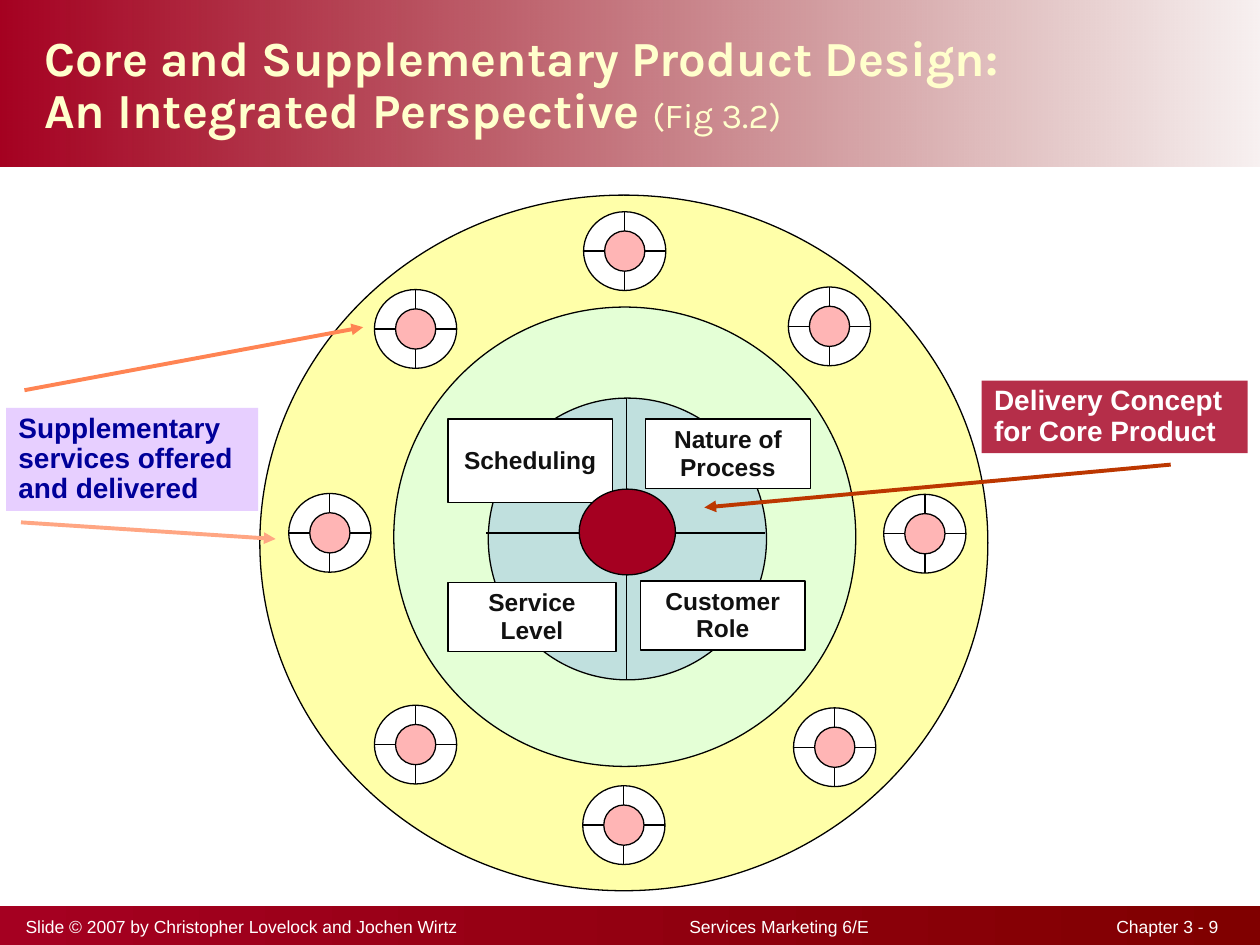
"""Build the slide on core and supplementary product design."""
from dataclasses import dataclass

import lxml.etree
import pptx
import pptx.dml.color
import pptx.enum.shapes
import pptx.enum.text
import pptx.oxml.ns
import pptx.shapes.autoshape
import pptx.shapes.connector
import pptx.util

Pt = pptx.util.Pt
qn = pptx.oxml.ns.qn
SHAPE = pptx.enum.shapes.MSO_SHAPE
ALIGN = pptx.enum.text.PP_ALIGN
ANCHOR = pptx.enum.text.MSO_ANCHOR

COLORS = {
    "crimson": "A50021", "maroon": "800000", "cream": "FFFFCC",
    "white": "FFFFFF", "black": "000000", "ink": "111111",
    "yellow": "FFFF99", "aqua": "CCFFFF", "blue": "3366FF", "red": "FF0000",
    "lilac": "E2C5FF", "navy": "000099",
    "rust": "BC3700", "orange": "FF8453", "peach": "FFA683",
}


@dataclass
class Box:
    left: float
    top: float
    width: float
    height: float

    def lengths(self) -> list:
        return [Pt(v) for v in (self.left, self.top, self.width, self.height)]


@dataclass
class Disc:
    box: Box
    color: str
    opacity: int = 100


@dataclass
class Label:
    box: Box
    lines: list
    fill: str
    color: str
    size: float
    spacing: float
    align: ALIGN
    opacity: int = 100
    outlined: bool = False


@dataclass
class Arrow:
    start: tuple
    end: tuple
    color: str


def rgb(name: str) -> pptx.dml.color.RGBColor:
    return pptx.dml.color.RGBColor.from_string(COLORS[name])


def set_opacity(clr, percent: int) -> None:
    if percent < 100:
        lxml.etree.SubElement(clr, qn("a:alpha"), val=str(percent * 1000))


def add_shape(shapes, kind: SHAPE, box: Box, fill: str, opacity: int = 100,
              outlined: bool = True) -> pptx.shapes.autoshape.Shape:
    sp = shapes.add_shape(kind, *box.lengths())
    sp.shadow.inherit = False
    sp.fill.solid()
    sp.fill.fore_color.rgb = rgb(fill)
    set_opacity(sp.element.spPr.find(".//" + qn("a:srgbClr")), opacity)
    if outlined:
        sp.line.color.rgb = rgb("black")
        sp.line.width = Pt(0.75)
    else:
        sp.line.fill.background()
    return sp


def add_bar(shapes, box: Box, end_opacity: int = 100) -> None:
    sp = add_shape(shapes, SHAPE.RECTANGLE, box, "crimson", outlined=False)
    sp.fill.gradient()
    sp.fill.gradient_angle = 0
    for stop, name in zip(sp.fill.gradient_stops, ("crimson", "maroon")):
        stop.color.rgb = rgb(name)
    set_opacity(sp.element.spPr.findall(".//" + qn("a:gs"))[-1][0], end_opacity)


def add_line(shapes, start: tuple, end: tuple, color: str = "black",
             width: float = 0.75) -> pptx.shapes.connector.Connector:
    cxn = shapes.add_connector(pptx.enum.shapes.MSO_CONNECTOR.STRAIGHT,
                               *[Pt(v) for v in start + end])
    cxn.line.color.rgb = rgb(color)
    cxn.line.width = Pt(width)
    lxml.etree.SubElement(cxn.element.spPr, qn("a:effectLst"))
    return cxn


def add_arrow(shapes, arrow: Arrow) -> None:
    cxn = add_line(shapes, arrow.start, arrow.end, arrow.color, 2.25)
    lxml.etree.SubElement(cxn.element.spPr.find(qn("a:ln")), qn("a:tailEnd"), type="triangle")


def add_run(p, text: str, size: float, color: str, bold: bool = False,
            font: str = "Arial") -> None:
    r = p.add_run()
    r.text = text
    r.font.name, r.font.size, r.font.bold = font, Pt(size), bold
    r.font.color.rgb = rgb(color)


def add_satellite(shapes, x: float, y: float) -> None:
    grp = shapes.add_group_shape().shapes
    rx, ry, core = 23.5, 22.5, 11.5
    add_shape(grp, SHAPE.OVAL, Box(x - rx, y - ry, 2 * rx, 2 * ry), "white")
    add_shape(grp, SHAPE.OVAL, Box(x - core, y - core, 2 * core, 2 * core), "red", 29)
    for dx, dy in ((0, -1), (0, 1), (1, 0), (-1, 0)):
        add_line(grp, (x + dx * rx, y + dy * ry), (x + dx * core, y + dy * core))


def add_label(shapes, label: Label) -> None:
    sp = add_shape(shapes, SHAPE.RECTANGLE, label.box, label.fill, label.opacity, label.outlined)
    tf = sp.text_frame
    tf.word_wrap = True
    tf.vertical_anchor = ANCHOR.MIDDLE
    for i, line in enumerate(label.lines):
        p = tf.add_paragraph() if i else tf.paragraphs[0]
        p.alignment, p.line_spacing = label.align, label.spacing
        add_run(p, line, label.size, label.color, True)


def core_label(box: Box, *lines: str) -> Label:
    return Label(box, list(lines), "white", "ink", 14, 0.95, ALIGN.CENTER, outlined=True)


def callout(box: Box, fill: str, color: str, *lines: str) -> Label:
    return Label(box, list(lines), fill, color, 16, 0.9, ALIGN.LEFT, 82)


def add_footer(shapes) -> None:
    tf = shapes.add_textbox(*Box(7.5, 519.5, 696, 20).lengths()).text_frame
    tf.word_wrap = True
    tf.vertical_anchor = ANCHOR.MIDDLE
    p = tf.paragraphs[0]
    tabs = lxml.etree.SubElement(p._p.get_or_add_pPr(), qn("a:tabLst"))
    for pos, algn in ((430.5, "ctr"), (681.5, "r")):
        lxml.etree.SubElement(tabs, qn("a:tab"), pos=str(Pt(pos)), algn=algn)
    add_run(p, "Slide © 2007 by Christopher Lovelock and Jochen Wirtz"
               "\tServices Marketing 6/E\tChapter 3 - 9", 10, "white")


def add_title(title) -> None:
    title.left, title.top, title.width, title.height = Box(18, 2, 594, 95).lengths()
    tf = title.text_frame
    tf.auto_size = pptx.enum.text.MSO_AUTO_SIZE.NONE
    tf.vertical_anchor = ANCHOR.MIDDLE
    p = tf.paragraphs[0]
    p.alignment, p.line_spacing = ALIGN.LEFT, 0.9
    add_run(p, "Core and Supplementary Product Design:", 28, "cream", True, "Karla")
    p.add_line_break()
    add_run(p, "An Integrated Perspective ", 28, "cream", True, "Karla")
    add_run(p, "(Fig 3.2)", 20, "cream", False, "Karla")


RINGS = [
    Disc(Box(148.5, 111.5, 416, 397.5), "yellow", 84),
    Disc(Box(225, 175.5, 264, 262.5), "aqua", 53),
    Disc(Box(279, 227.5, 159, 161), "blue", 20),
]
SATELLITES = [(357, 143.5), (237.5, 425.5), (477, 427), (188.5, 304.5),
              (528.5, 305), (356.5, 471.5), (237.5, 188), (474, 186.5)]
SCHEDULING = core_label(Box(256, 239.5, 94, 47.5), "Scheduling")
LABELS = [
    core_label(Box(369, 239.5, 94, 39.5), "Nature of Process"),
    core_label(Box(256, 333, 96, 39.5), "Service Level"),
    core_label(Box(366, 332, 94, 39.5), "Customer", "Role"),
    callout(Box(3.5, 233, 144, 59), "lilac", "navy",
            "Supplementary", "services offered", "and delivered"),
    callout(Box(561, 217.5, 152, 41.5), "crimson", "white",
            "Delivery Concept", "for Core Product"),
]
ARROWS = [
    Arrow((669, 265.5), (402.5, 290), "rust"),
    Arrow((14, 223), (207.5, 187), "orange"),
    Arrow((12, 298.5), (157.5, 308), "peach"),
]


def main() -> None:
    prs = pptx.Presentation()
    prs.slide_width, prs.slide_height = Pt(720), Pt(540)
    s = prs.slides.add_slide(prs.slide_layouts[5])
    shapes = s.shapes
    title = shapes.title
    add_bar(shapes, Box(0, 0, 720, 95), 6)
    add_bar(shapes, Box(0, 517.5, 720, 22.5))
    add_footer(shapes)
    add_title(title)
    title.element.getparent().append(title.element)
    for ring in RINGS:
        add_shape(shapes, SHAPE.OVAL, ring.box, ring.color, ring.opacity)
    for x, y in SATELLITES:
        add_satellite(shapes, x, y)
    add_label(shapes, SCHEDULING)
    add_line(shapes, (358, 227.5), (358, 388.5))
    add_line(shapes, (278, 304.5), (437, 304.5))
    add_shape(shapes, SHAPE.OVAL, Box(331, 279.5, 55, 49), "crimson")
    for label in LABELS:
        add_label(shapes, label)
    for arrow in ARROWS:
        add_arrow(shapes, arrow)
    prs.save("out.pptx")


if __name__ == "__main__":
    main()
